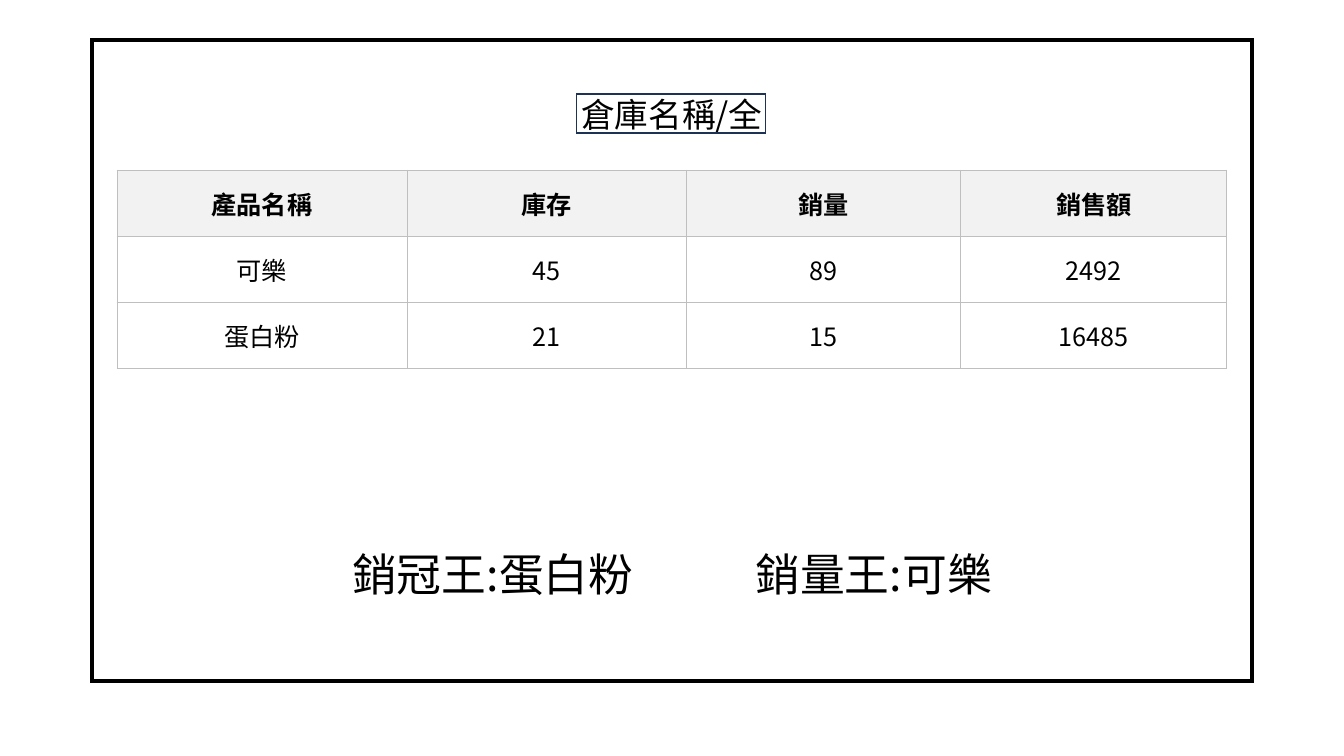
from dataclasses import dataclass

from lxml.etree import SubElement
from pptx import Presentation
from pptx.dml.color import RGBColor
from pptx.enum.shapes import MSO_SHAPE
from pptx.enum.text import MSO_ANCHOR, MSO_AUTO_SIZE, PP_ALIGN
from pptx.oxml import parse_xml
from pptx.oxml.ns import nsdecls, qn
from pptx.util import Emu, Inches, Pt


@dataclass(frozen=True)
class Theme:
    """Colours, font, type sizes and line weights of the slide."""

    font: str = "Noto Sans CJK SC"
    ink: str = "000000"
    label_line: str = "1E3256"
    grid: str = "BFBFBF"
    header_fill: str = "F2F2F2"
    heading: int = 24
    summary: int = 32
    cell: int = 18
    thick: float = 3
    thin: float = 0.75


THEME = Theme()
HEADING = "倉庫名稱/全"
SUMMARY = "銷冠王:蛋白粉\t\t銷量王:可樂"
STOCK = [
    ["產品名稱", "庫存", "銷量", "銷售額"],
    ["可樂", "45", "89", "2492"],
    ["蛋白粉", "21", "15", "16485"],
]
COLUMN_WIDTHS = [290, 280, 274, 266]
ROW_HEIGHT = 66
FRAME = (92, 40, 1160, 641)
LABEL = (577, 94, 189, 39)


def px(length):
    """Turn a pixel length into EMU."""
    return Emu(round(length * 914400 / 100.8))


def style_paragraph(para, text, size, bold=False):
    """Write centred text in the theme font."""
    para.text = text
    para.alignment = PP_ALIGN.CENTER
    font = para.font
    font.name = THEME.font
    font.size = Pt(size)
    font.bold = bold
    font.color.rgb = RGBColor.from_string(THEME.ink)
    defaults = para._p.pPr.find(qn("a:defRPr"))
    SubElement(defaults, qn("a:ea")).set("typeface", THEME.font)


def plain_list_paragraph(para):
    """Drop the bullet and indent and space tabs an inch apart."""
    para.line_spacing = 0.9
    properties = para._p.pPr
    properties.set("marL", "0")
    properties.set("indent", "0")
    properties.set("defTabSz", str(Inches(1)))
    defaults = properties.find(qn("a:defRPr"))
    defaults.addprevious(parse_xml(f"<a:buNone {nsdecls('a')}/>"))


def fill_body(body):
    """Place the heading and the summary line in the body placeholder."""
    body.left, body.top, body.width, body.height = map(px, FRAME)
    frame = body.text_frame
    frame.word_wrap = True
    frame.auto_size = MSO_AUTO_SIZE.NONE
    frame.vertical_anchor = MSO_ANCHOR.TOP
    frame.margin_top = px(58)
    heading, summary = frame.paragraphs[0], frame.add_paragraph()
    style_paragraph(heading, HEADING, THEME.heading)
    style_paragraph(summary, SUMMARY, THEME.summary)
    for para, gap in ((heading, 0), (summary, 418)):
        plain_list_paragraph(para)
        para.space_before = px(gap)


def add_outline(page, bounds, color, weight):
    """Add an unfilled rectangle with sharp corners."""
    box = page.shapes.add_shape(MSO_SHAPE.RECTANGLE, *map(px, bounds))
    box.shadow.inherit = False
    box.fill.background()
    box.line.color.rgb = RGBColor.from_string(color)
    box.line.width = Pt(weight)
    outline = box.element.spPr.find(qn("a:ln"))
    SubElement(outline, qn("a:miter")).set("lim", "800000")


def border_cell(cell):
    """Draw a thin line on all four sides of a cell."""
    properties = cell._tc.get_or_add_tcPr()
    for side in ("lnL", "lnR", "lnT", "lnB"):
        properties.append(parse_xml(
            f'<a:{side} {nsdecls("a")} w="{Pt(THEME.thin)}"><a:solidFill>'
            f'<a:srgbClr val="{THEME.grid}"/></a:solidFill></a:{side}>'))


def add_stock_table(page, left, top):
    """Add the stock table with a shaded header row."""
    width, height = sum(COLUMN_WIDTHS), ROW_HEIGHT * len(STOCK)
    table = page.shapes.add_table(
        len(STOCK), len(COLUMN_WIDTHS), px(left), px(top), px(width), px(height)).table
    table.horz_banding = False
    for column, column_width in zip(table.columns, COLUMN_WIDTHS):
        column.width = px(column_width)
    for row_index, values in enumerate(STOCK):
        is_header = row_index == 0
        table.rows[row_index].height = px(ROW_HEIGHT)
        for column_index, value in enumerate(values):
            cell = table.cell(row_index, column_index)
            cell.vertical_anchor = MSO_ANCHOR.MIDDLE
            style_paragraph(cell.text_frame.paragraphs[0], value, THEME.cell, is_header)
            border_cell(cell)
            if is_header:
                cell.fill.solid()
                cell.fill.fore_color.rgb = RGBColor.from_string(THEME.header_fill)
            else:
                cell.fill.background()


def main():
    """Build and save the warehouse slide."""
    deck = Presentation()
    deck.slide_width, deck.slide_height = px(1344), px(756)
    page = deck.slides.add_slide(deck.slide_layouts[1])
    title = page.shapes.title.element
    title.getparent().remove(title)
    fill_body(page.placeholders[1])
    add_outline(page, FRAME, THEME.ink, THEME.thick)
    add_outline(page, LABEL, THEME.label_line, THEME.thin)
    add_stock_table(page, 117, 170)
    deck.save("out.pptx")


if __name__ == "__main__":
    main()
